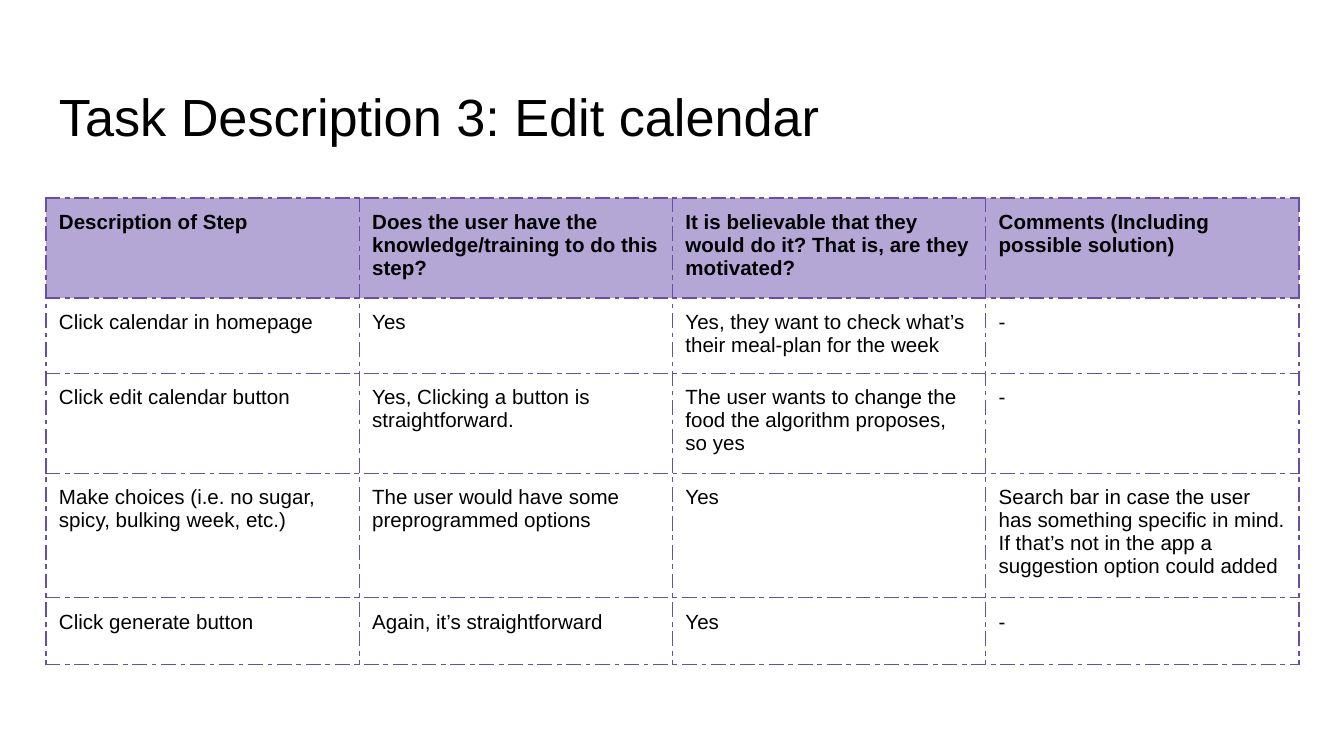
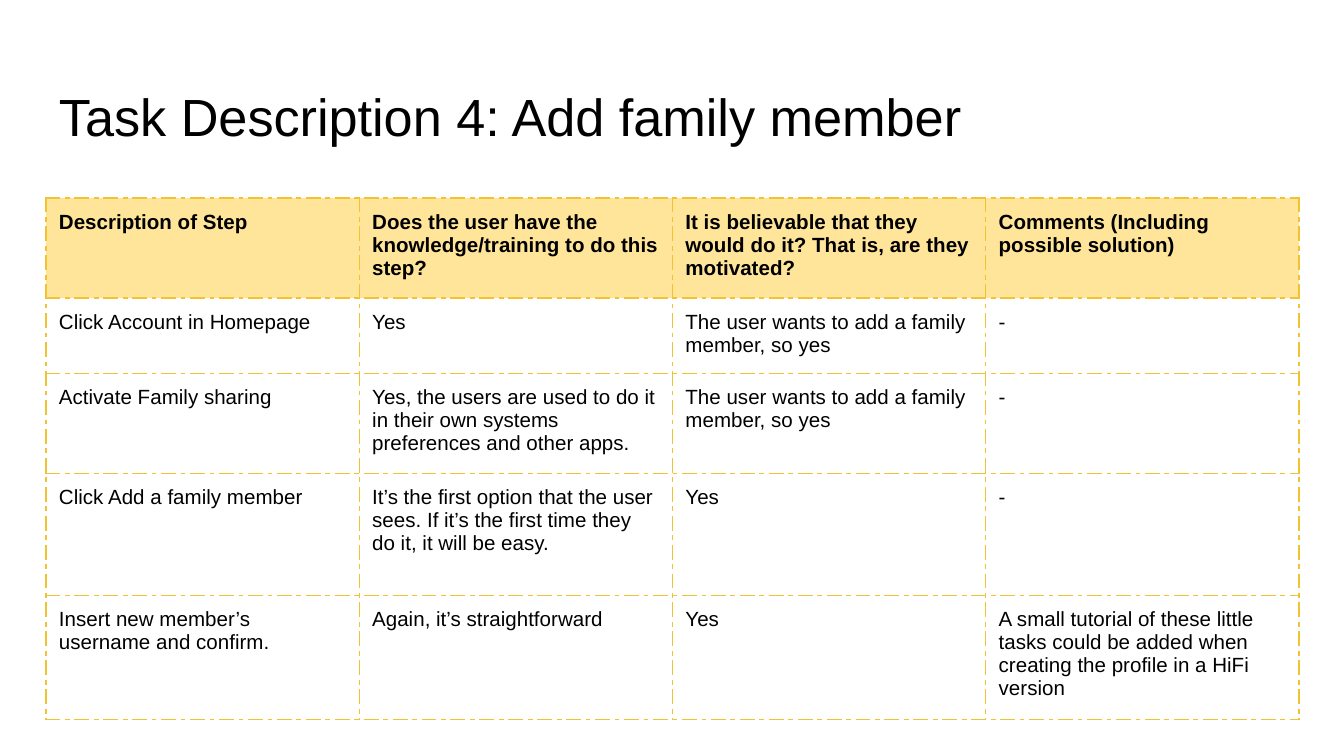
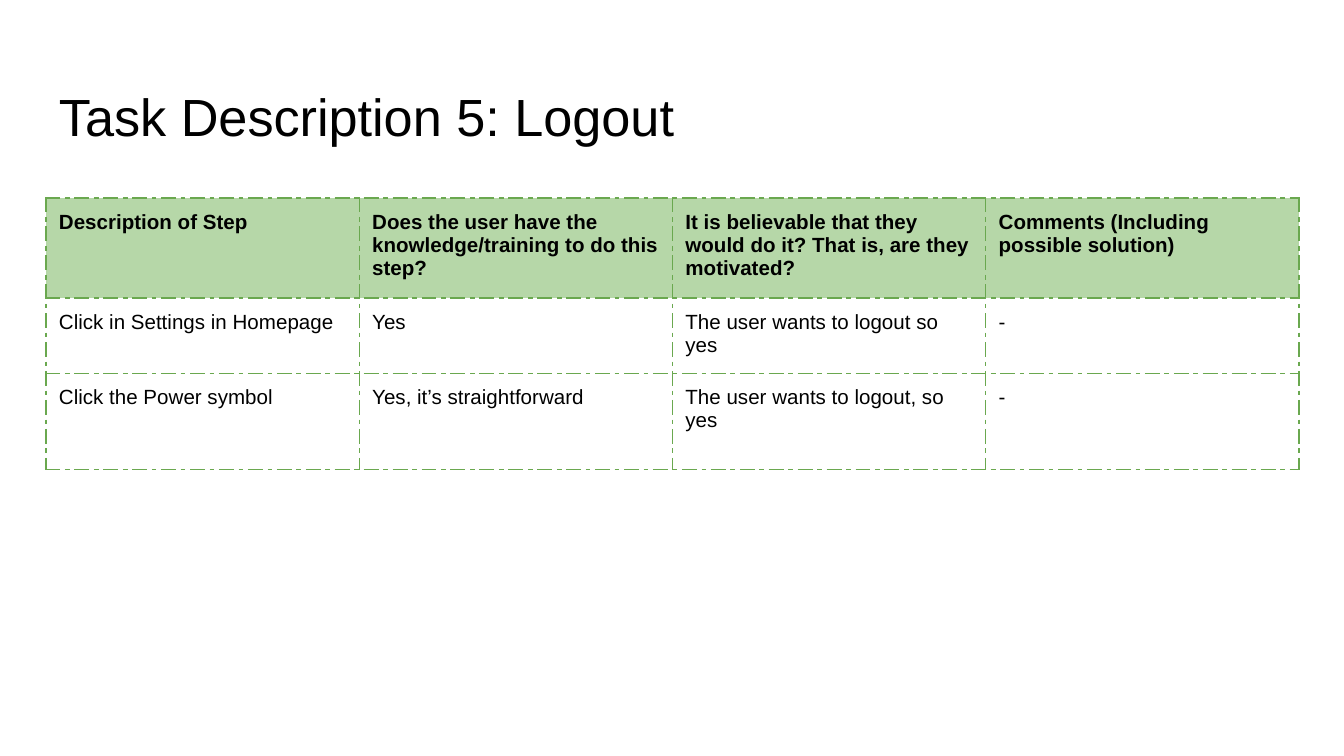
from pptx import Presentation
from pptx.dml.color import RGBColor
from pptx.enum.text import MSO_ANCHOR
from pptx.oxml import parse_xml
from pptx.oxml.ns import nsdecls
from pptx.util import Emu, Pt

PAGE_WIDTH, PAGE_HEIGHT = 1344, 756
INSET = 13
TITLE_BOX = (46, 66, 1253, 85)
TABLE_BOX = (46, 198, 1253)
HEADINGS = (
    "Description of Step",
    "Does the user have the knowledge/training to do this step?",
    "It is believable that they would do it? That is, are they motivated?",
    "Comments (Including possible solution)",
)
ROW_HEIGHTS = (99, 72, 96, 122, 67)
WANTS_MEMBER = "The user wants to add a family member, so yes"
TASKS = (
    ("Task Description 3: Edit calendar", "B4A7D6", "674EA7", (
        ("Click calendar in homepage", "Yes",
         "Yes, they want to check what’s their meal-plan for the week", "-"),
        ("Click edit calendar button", "Yes, Clicking a button is straightforward.",
         "The user wants to change the food the algorithm proposes, so yes", "-"),
        ("Make choices (i.e. no sugar, spicy, bulking week, etc.)",
         "The user would have some preprogrammed options", "Yes",
         "Search bar in case the user has something specific in mind. "
         "If that’s not in the app a suggestion option could added"),
        ("Click generate button", "Again, it’s straightforward", "Yes", "-"),
    )),
    ("Task Description 4: Add family member", "FFE599", "F1C232", (
        ("Click Account in Homepage", "Yes", WANTS_MEMBER, "-"),
        ("Activate Family sharing",
         "Yes, the users are used to do it in their own systems preferences and other apps.",
         WANTS_MEMBER, "-"),
        ("Click Add a family member",
         "It’s the first option that the user sees. "
         "If it’s the first time they do it, it will be easy.", "Yes", "-"),
        ("Insert new member’s username and confirm.", "Again, it’s straightforward", "Yes",
         "A small tutorial of these little tasks could be added when "
         "creating the profile in a HiFi version"),
    )),
    ("Task Description 5: Logout", "B6D7A8", "6AA84F", (
        ("Click in Settings in Homepage", "Yes", "The user wants to logout so yes", "-"),
        ("Click the Power symbol", "Yes, it’s straightforward",
         "The user wants to logout, so yes", "-"),
    )),
)


def px(length):
    """Turn whole pixels into EMU."""
    return Emu(round(length * 914400 / 134.4))


def colour(code):
    """Turn a hex string into a colour."""
    return RGBColor.from_string(code)


def write(frame, text, size=11, bold=False, ink="000000", font="Arial"):
    """Put formatted text in the first paragraph of a frame."""
    frame.word_wrap = True
    span = frame.paragraphs[0].add_run()
    span.text = text
    span.font.size = Pt(size)
    span.font.bold = bold
    span.font.name = font
    span.font.color.rgb = colour(ink)


def set_margins(holder, top=INSET):
    """Give a cell or text frame the shared insets."""
    holder.margin_left = holder.margin_right = holder.margin_bottom = px(INSET)
    holder.margin_top = px(top)


def add_title(page, box, text):
    """Place the slide title in its box."""
    frame = page.shapes.add_textbox(*map(px, box)).text_frame
    frame.vertical_anchor = MSO_ANCHOR.TOP
    set_margins(frame, top=18)
    write(frame, text, size=28)


def set_borders(cell, line):
    """Draw dash-dot borders on the four sides of a cell."""
    properties = cell._tc.get_or_add_tcPr()
    for index, side in enumerate(("lnL", "lnR", "lnT", "lnB")):
        properties.insert(index, parse_xml(
            f'<a:{side} {nsdecls("a")} w="{Pt(0.75)}"><a:solidFill><a:srgbClr val="{line}"/>'
            f'</a:solidFill><a:prstDash val="dashDot"/></a:{side}>'))


def add_steps(page, box, steps, fill, line):
    """Place the table of steps under a coloured heading row."""
    left, top, width = box
    rows = (HEADINGS, *steps)
    heights = ROW_HEIGHTS[:len(rows)]
    table = page.shapes.add_table(len(rows), len(HEADINGS), px(left), px(top),
                                  px(width), px(sum(heights))).table
    table.horz_banding = False
    for row, height in zip(table.rows, heights):
        row.height = px(height)
    for row_index, texts in enumerate(rows):
        heading = row_index == 0
        for column_index, text in enumerate(texts):
            cell = table.cell(row_index, column_index)
            set_margins(cell)
            write(cell.text_frame, text, bold=heading)
            if heading:
                cell.fill.solid()
                cell.fill.fore_color.rgb = colour(fill)
            else:
                cell.fill.background()
            set_borders(cell, line)


def add_task(deck, title, fill, line, steps):
    """Build one task slide."""
    page = deck.slides.add_slide(deck.slide_layouts[6])
    add_title(page, TITLE_BOX, title)
    add_steps(page, TABLE_BOX, steps, fill, line)


def main():
    """Build and save the deck."""
    deck = Presentation()
    deck.slide_width, deck.slide_height = px(PAGE_WIDTH), px(PAGE_HEIGHT)
    for task in TASKS:
        add_task(deck, *task)
    deck.save("out.pptx")


if __name__ == "__main__":
    main()
